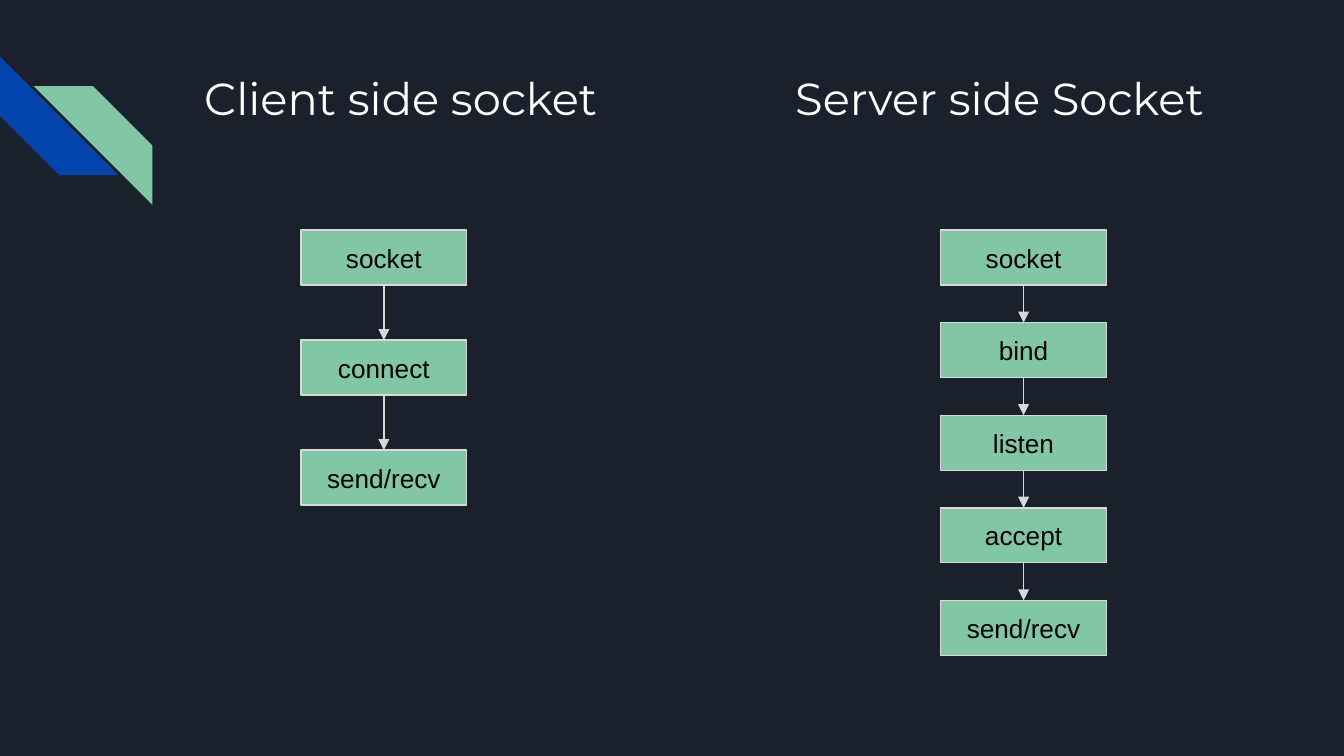
from dataclasses import dataclass

from lxml import etree
from pptx import Presentation
from pptx.dml.color import RGBColor
from pptx.enum.shapes import MSO_CONNECTOR, MSO_SHAPE
from pptx.enum.text import MSO_ANCHOR, PP_ALIGN
from pptx.oxml.ns import qn
from pptx.util import Cm, Pt

RECT, STRIPE = MSO_SHAPE.RECTANGLE, MSO_SHAPE.DIAGONAL_STRIPE
STRAIGHT = MSO_CONNECTOR.STRAIGHT
CENTER, MIDDLE, TOP = PP_ALIGN.CENTER, MSO_ANCHOR.MIDDLE, MSO_ANCHOR.TOP


@dataclass(frozen=True)
class Theme:
    background: RGBColor = RGBColor.from_string("1B212C")
    blue: RGBColor = RGBColor.from_string("0145AC")
    green: RGBColor = RGBColor.from_string("82C7A5")
    outline: RGBColor = RGBColor.from_string("D9D9D9")
    title_color: RGBColor = RGBColor.from_string("FFFFFF")
    step_color: RGBColor = RGBColor.from_string("000000")
    title_font: str = "Montserrat"
    step_font: str = "Arial"
    title_size: Pt = Pt(24)
    step_size: Pt = Pt(14)
    line_width: Pt = Pt(0.75)


THEME = Theme()

TITLES = ("Client side socket", "Server side Socket")
TITLE_BOX = (Cm(3.61), Cm(1.09), Cm(19.56), Cm(2.54))
TITLE_TAB = Cm(11.17)

# left edge, distance from one step to the next, steps
FLOWS = [
    (Cm(5.69), Cm(2.08), ["socket", "connect", "send/recv"]),
    (Cm(17.78), Cm(1.75), ["socket", "bind", "listen", "accept", "send/recv"]),
]
FLOW_TOP = Cm(4.35)
STEP_W, STEP_H = Cm(3.13), Cm(1.04)

# left, top, colour, rotation, mirrored
STRIPES = [
    (Cm(0), Cm(1.07), THEME.blue, 270, False),
    (Cm(0.64), Cm(1.63), THEME.green, 0, True),
]
STRIPE_SIZE = Cm(2.24)


def add_filled(slide, kind, left, top, width, height, color):
    s = slide.shapes.add_shape(kind, left, top, width, height)
    s.shadow.inherit = False
    s.fill.solid()
    s.fill.fore_color.rgb = color
    return s


def set_text(s, text, font, size, color, anchor):
    tf = s.text_frame
    tf.word_wrap = True
    tf.vertical_anchor = anchor
    tf.margin_left = tf.margin_right = tf.margin_top = tf.margin_bottom = Cm(0.25)
    p = tf.paragraphs[0]
    p.add_run().text = text
    p.font.name, p.font.size, p.font.color.rgb = font, size, color
    return p


def add_stripe(slide, left, top, color, rotation, mirrored):
    s = add_filled(slide, STRIPE, left, top, STRIPE_SIZE, STRIPE_SIZE, color)
    s.line.fill.background()
    s.rotation = rotation
    if mirrored:
        s._element.spPr.xfrm.set("flipH", "1")


def add_titles(slide):
    """Both titles share one line, parted by a tab stop."""
    s = slide.shapes.add_textbox(*TITLE_BOX)
    p = set_text(s, "\t".join(TITLES), THEME.title_font, THEME.title_size,
                 THEME.title_color, TOP)
    tabs = etree.Element(qn("a:tabLst"))
    etree.SubElement(tabs, qn("a:tab"), pos=str(TITLE_TAB), algn="l")
    p._p.get_or_add_pPr().insert(0, tabs)


def add_step(slide, left, top, text):
    s = add_filled(slide, RECT, left, top, STEP_W, STEP_H, THEME.green)
    s.line.color.rgb = THEME.outline
    s.line.width = THEME.line_width
    p = set_text(s, text, THEME.step_font, THEME.step_size, THEME.step_color, MIDDLE)
    p.alignment = CENTER


def add_down_arrow(slide, x, top, bottom):
    c = slide.shapes.add_connector(STRAIGHT, x, top, x, bottom)
    c.line.color.rgb = THEME.outline
    c.line.width = THEME.line_width
    etree.SubElement(c.line._get_or_add_ln(), qn("a:tailEnd"), type="triangle")
    etree.SubElement(c._element.spPr, qn("a:effectLst"))


def add_flow(slide, left, pitch, steps):
    for i, step in enumerate(steps):
        top = FLOW_TOP + i * pitch
        add_step(slide, left, top, step)
        if i:
            add_down_arrow(slide, left + STEP_W // 2, top - pitch + STEP_H, top)


def main():
    prs = Presentation()
    prs.slide_width, prs.slide_height = Cm(25.4), Cm(14.29)
    slide = prs.slides.add_slide(prs.slide_layouts[6])
    slide.background.fill.solid()
    slide.background.fill.fore_color.rgb = THEME.background
    for stripe in STRIPES:
        add_stripe(slide, *stripe)
    add_titles(slide)
    for flow in FLOWS:
        add_flow(slide, *flow)
    prs.save("out.pptx")


if __name__ == "__main__":
    main()
